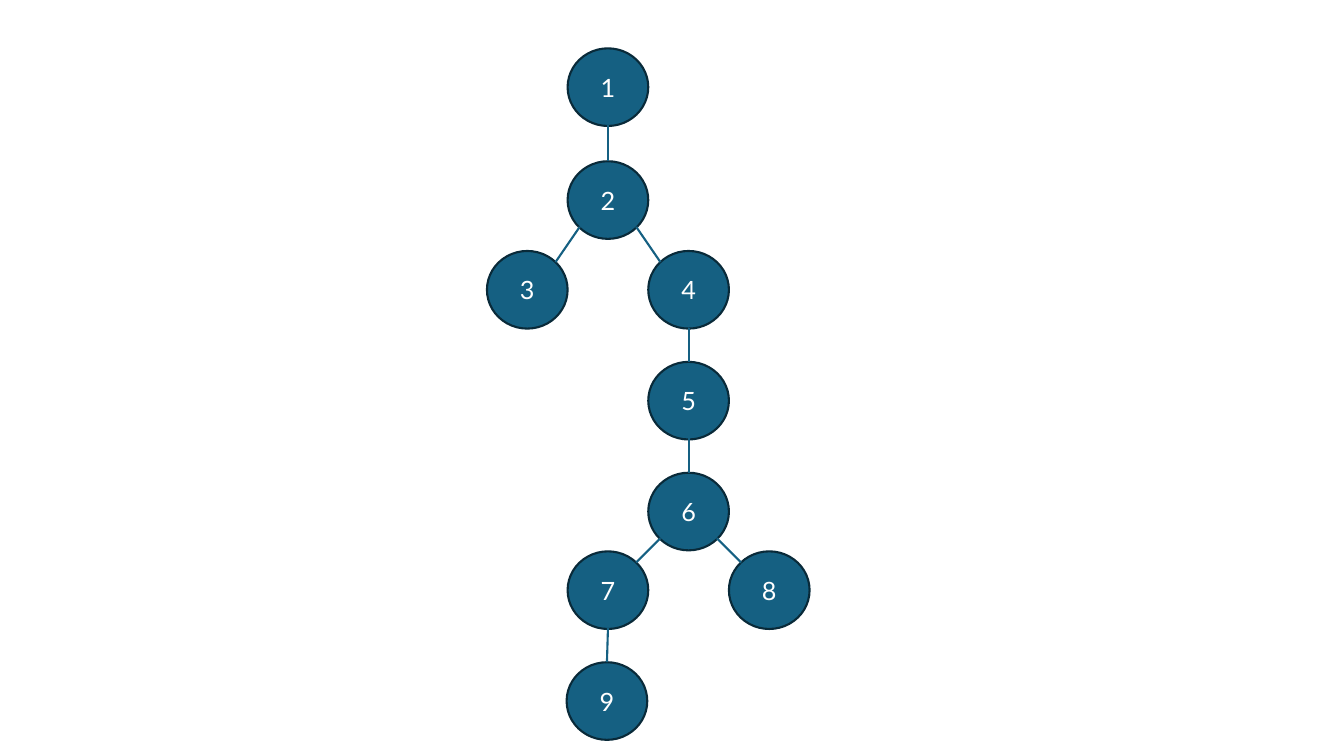
from math import sqrt

from pptx import Presentation
from pptx.dml.color import RGBColor
from pptx.enum.shapes import MSO_CONNECTOR as Connector, MSO_SHAPE as Shape
from pptx.enum.text import MSO_ANCHOR as Anchor, PP_ALIGN as Align
from pptx.oxml.ns import qn
from pptx.util import Pt
from lxml import etree

PX = 9144  # 100 px to the inch
NODE_WIDTH, NODE_HEIGHT = 80, 77
COLUMN_STEP = 80
TEAL, DARK_TEAL, WHITE = "156082", "092A39", "FFFFFF"


def color(hex_text):
    return RGBColor.from_string(hex_text)


def write_text(shape, text, font="Lato", size=18, ink=WHITE, align=Align.CENTER):
    frame = shape.text_frame
    frame.vertical_anchor = Anchor.MIDDLE
    para = frame.paragraphs[0]
    para.alignment = align
    span = para.add_run()
    span.text = text
    span.font.name = font
    span.font.size = Pt(size)
    span.font.color.rgb = color(ink)


deck = Presentation()
deck.slide_width, deck.slide_height = 1333 * PX, 750 * PX
page = deck.slides.add_slide(deck.slide_layouts[6])

# Left and top of each tree node
nodes = {
    1: (563, 48),
    2: (563, 160),
    3: (483, 249),
    4: (643, 249),
    5: (643, 359),
    6: (643, 469),
    7: (563, 547),
    8: (723, 547),
    9: (562, 657),
}
edges = [(1, 2), (2, 3), (2, 4), (4, 5), (5, 6), (6, 7), (6, 8), (7, 9)]

for number, (left, top) in nodes.items():
    circle = page.shapes.add_shape(
        Shape.OVAL, left * PX, top * PX, NODE_WIDTH * PX, NODE_HEIGHT * PX)
    circle.shadow.inherit = False
    circle.fill.solid()
    circle.fill.fore_color.rgb = color(TEAL)
    circle.line.color.rgb = color(DARK_TEAL)
    circle.line.width = Pt(1.5)
    write_text(circle, str(number))

# Edges run bottom to top in one column, and between 45° rim points otherwise
for parent, child in edges:
    (parent_left, parent_top), (child_left, child_top) = nodes[parent], nodes[child]
    side = round((child_left - parent_left) / COLUMN_STEP)
    reach = 1 / sqrt(2) if side else 1
    across = round(side * reach * NODE_WIDTH / 2)
    down = round(reach * NODE_HEIGHT / 2)
    middle_x, middle_y = NODE_WIDTH // 2, NODE_HEIGHT // 2
    edge = page.shapes.add_connector(
        Connector.STRAIGHT,
        (parent_left + middle_x + across) * PX, (parent_top + middle_y + down) * PX,
        (child_left + middle_x - across) * PX, (child_top + middle_y - down) * PX)
    edge.line.color.rgb = color(TEAL)
    edge.line.width = Pt(1.5)
    etree.SubElement(edge._element.spPr, qn("a:effectLst"))

deck.save("out.pptx")
